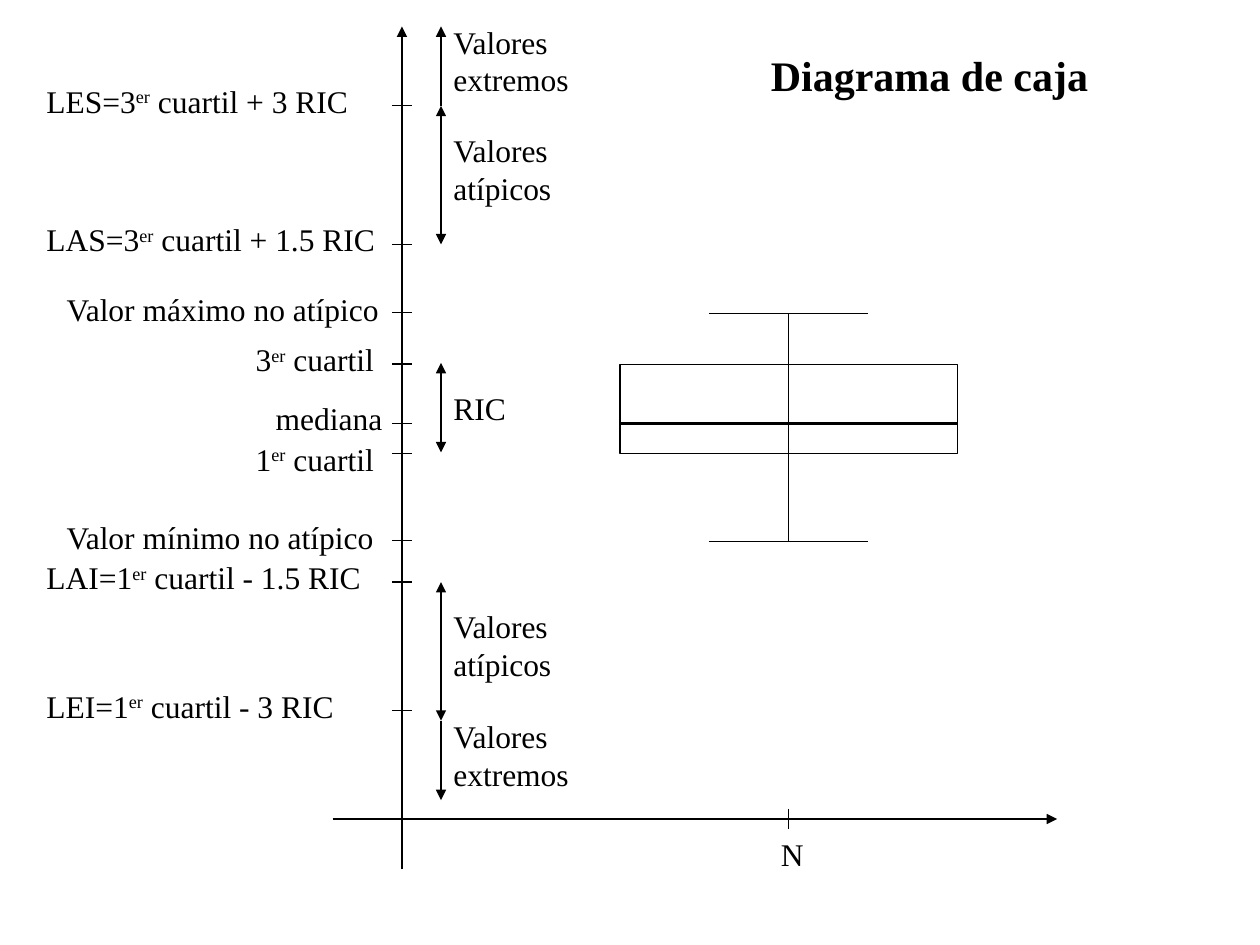
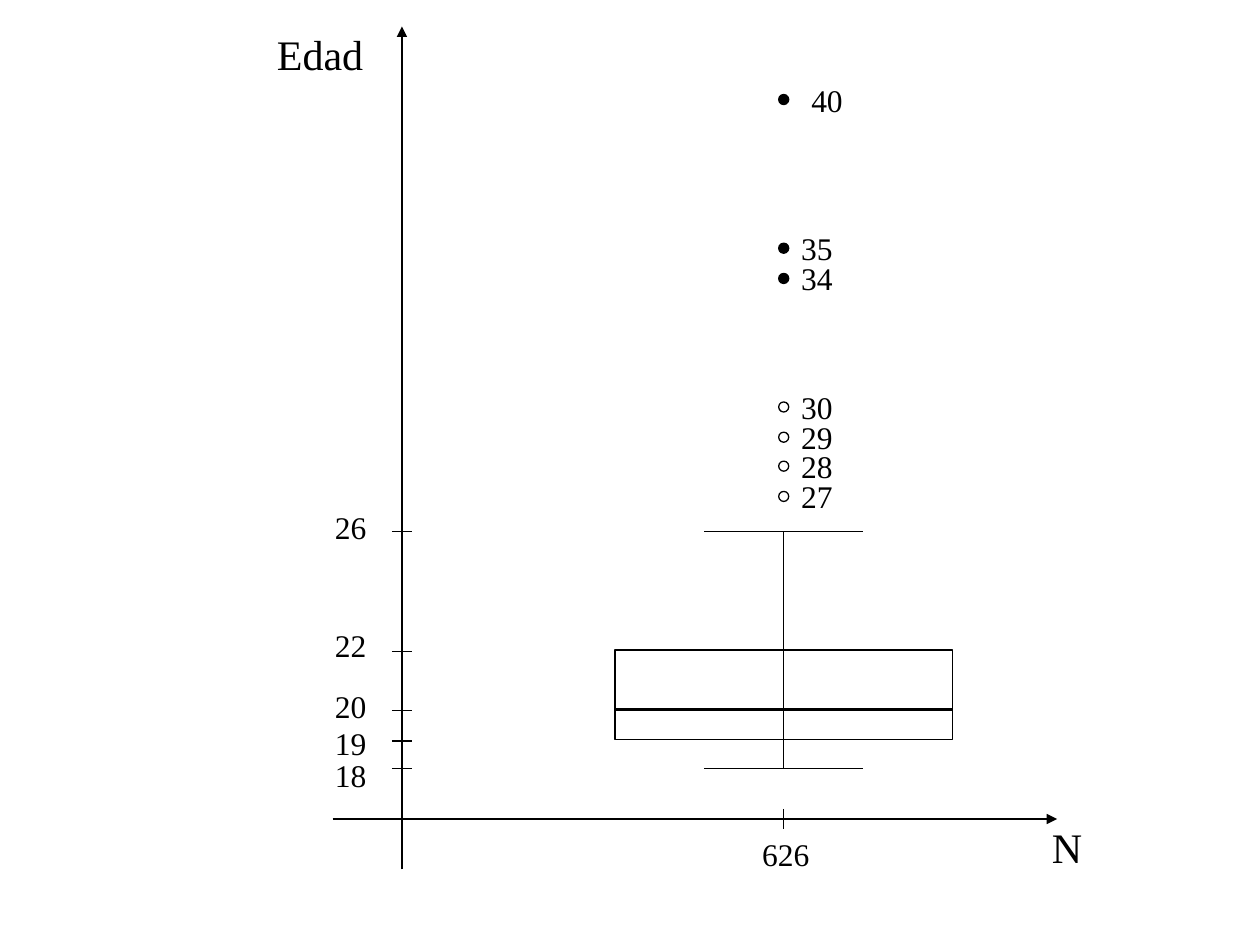
import pptx
import pptx.util
import pptx.dml.color
import pptx.enum.shapes
import pptx.enum.text
import lxml.etree
from pptx.util import Inches

COLORS = {"ink": "000000"}
AXIS_X = 3.19
RANGE_X = 3.5
BOX_WIDTH = 2.68
CAP_WIDTH = 1.26
DOT = 0.08


class Diagram:
    font = "Times New Roman"
    thin = 0.75
    thick = 2

    def __init__(self, deck):
        self.deck = deck
        self.slide = None

    def new_slide(self):
        self.slide = self.deck.slides.add_slide(self.deck.slide_layouts[6])

    def ink(self):
        return pptx.dml.color.RGBColor.from_string(COLORS["ink"])

    def line(self, x1, y1, x2, y2, width=thin, head=False, tail=False):
        connector = self.slide.shapes.add_connector(
            pptx.enum.shapes.MSO_CONNECTOR.STRAIGHT,
            Inches(x1), Inches(y1), Inches(x2), Inches(y2))
        connector.line.color.rgb = self.ink()
        connector.line.width = pptx.util.Pt(width)
        ns = pptx.oxml.ns.qn
        outline = connector.line._get_or_add_ln()
        for end, wanted in (("a:headEnd", head), ("a:tailEnd", tail)):
            if wanted:
                lxml.etree.SubElement(outline, ns(end), type="triangle")
        lxml.etree.SubElement(connector._element.spPr, ns("a:effectLst"))

    def outline(self, kind, left, top, width, height, filled=False):
        shape = self.slide.shapes.add_shape(
            kind, Inches(left), Inches(top), Inches(width), Inches(height))
        shape.shadow.inherit = False
        if filled:
            shape.fill.solid()
            shape.fill.fore_color.rgb = self.ink()
        else:
            shape.fill.background()
        shape.line.color.rgb = self.ink()
        shape.line.width = pptx.util.Pt(self.thin)

    def text(self, content, left, top, width, height=0.4, size=18, bold=False):
        box = self.slide.shapes.add_textbox(
            Inches(left), Inches(top), Inches(width), Inches(height))
        frame = box.text_frame
        frame.word_wrap = True
        frame.auto_size = pptx.enum.text.MSO_AUTO_SIZE.SHAPE_TO_FIT_TEXT
        paragraph = frame.paragraphs[0]
        paragraph.space_before = pptx.util.Pt(size * 0.625)
        for number, row in enumerate(content.split("\n")):
            if number:
                paragraph.add_line_break()
            for part, words in enumerate(row.split("^")):
                run = paragraph.add_run()
                run.text = words
                run.font.name = self.font
                run.font.size = pptx.util.Pt(size)
                run.font.bold = bold
                run.font.color.rgb = self.ink()
                if part % 2:
                    run._r.get_or_add_rPr().set("baseline", "30000")

    def tick(self, y):
        self.line(AXIS_X - 0.08, y, AXIS_X + 0.08, y)

    def axes(self, center):
        self.line(AXIS_X, 6.9, AXIS_X, 0.21, tail=True)
        self.line(2.64, 6.5, 8.39, 6.5, tail=True)
        self.line(center, 6.42, center, 6.58)

    def box_plot(self, center, maximum, third, median, first, minimum):
        left = center - BOX_WIDTH / 2
        self.outline(pptx.enum.shapes.MSO_SHAPE.RECTANGLE,
                     left, third, BOX_WIDTH, first - third)
        self.line(left, median, left + BOX_WIDTH, median, self.thick)
        self.line(center, maximum, center, minimum)
        for cap in (maximum, minimum):
            self.line(center - CAP_WIDTH / 2, cap, center + CAP_WIDTH / 2, cap)

    def outlier(self, value, center, top, extreme, label_gap):
        self.outline(pptx.enum.shapes.MSO_SHAPE.OVAL,
                     center - DOT / 2, top, DOT, DOT, extreme)
        self.text(value, center + label_gap, top - 0.16, 0.55)


def explain_box_plot(diagram):
    diagram.new_slide()
    center = 6.26
    diagram.axes(center)
    diagram.text("N", 6.1, 6.58, 0.47)
    diagram.box_plot(center, 2.49, 2.89, 3.36, 3.6, 4.3)

    levels = [
        ("LES=3^er^ cuartil + 3 RIC", 0.84, 0.27, 0.6, 2.84),
        ("LAS=3^er^ cuartil + 1.5 RIC", 1.94, 0.27, 1.7, 2.84),
        ("Valor máximo no atípico", 2.48, 0.43, 2.25, 2.91),
        ("3^er^ cuartil", 2.89, 1.93, 2.65, 1.18),
        ("mediana", 3.36, 2.09, 3.12, 1.1),
        ("1^er^ cuartil", 3.6, 1.93, 3.44, 1.18),
        ("Valor mínimo no atípico", 4.29, 0.43, 4.06, 2.91),
        ("LAI=1^er^ cuartil - 1.5 RIC", 4.62, 0.27, 4.38, 2.84),
        ("LEI=1^er^ cuartil - 3 RIC", 5.64, 0.27, 5.4, 2.84),
    ]
    for label, level, left, top, width in levels:
        diagram.tick(level)
        diagram.text(label, left, top, width)

    ranges = [
        ("Valores extremos", 0.21, 0.84, True, False, 0.13, 1.26, 0.7),
        ("Valores\natípicos", 0.84, 1.94, True, True, 0.99, 1.02, 0.7),
        ("RIC", 2.88, 3.59, True, True, 3.04, 0.71, 0.4),
        ("Valores\natípicos", 4.62, 5.72, True, True, 4.77, 1.02, 0.7),
        ("Valores extremos", 5.72, 6.35, False, True, 5.64, 1.26, 0.7),
    ]
    for label, start, end, head, tail, top, width, height in ranges:
        diagram.line(RANGE_X, start, RANGE_X, end, head=head, tail=tail)
        diagram.text(label, RANGE_X, top, width, height)
    diagram.text("Diagrama de caja", 6.02, 0.34, 2.84, 0.5, 24, True)


def show_ages(diagram):
    diagram.new_slide()
    center = 6.22
    diagram.axes(center)
    diagram.text("626", 5.95, 6.58, 0.63)
    diagram.box_plot(center, 4.22, 5.16, 5.63, 5.87, 6.1)

    ages = [("26", 4.22, 3.98), ("22", 5.17, 4.92), ("20", 5.64, 5.4),
            ("19", 5.88, 5.7), ("18", 6.1, 5.95)]
    for age, level, top in ages:
        diagram.tick(level)
        diagram.text(age, 2.56, top, 0.55)

    outliers = [("27", 3.9), ("28", 3.66), ("29", 3.43), ("30", 3.19),
                ("34", 2.17), ("35", 1.93), ("40", 0.75)]
    for age, top in outliers:
        diagram.outlier(age, center, top, extreme=int(age) > 30,
                        label_gap=0.12 if age == "40" else 0.04)
    diagram.text("Edad", 2.1, 0.18, 1.07, 0.5, 24)
    diagram.text("N", 8.25, 6.47, 0.46, 0.5, 24)


def main():
    deck = pptx.Presentation()
    deck.slide_width = Inches(10)
    deck.slide_height = Inches(7.5)
    diagram = Diagram(deck)
    explain_box_plot(diagram)
    show_ages(diagram)
    deck.save("out.pptx")


if __name__ == "__main__":
    main()
